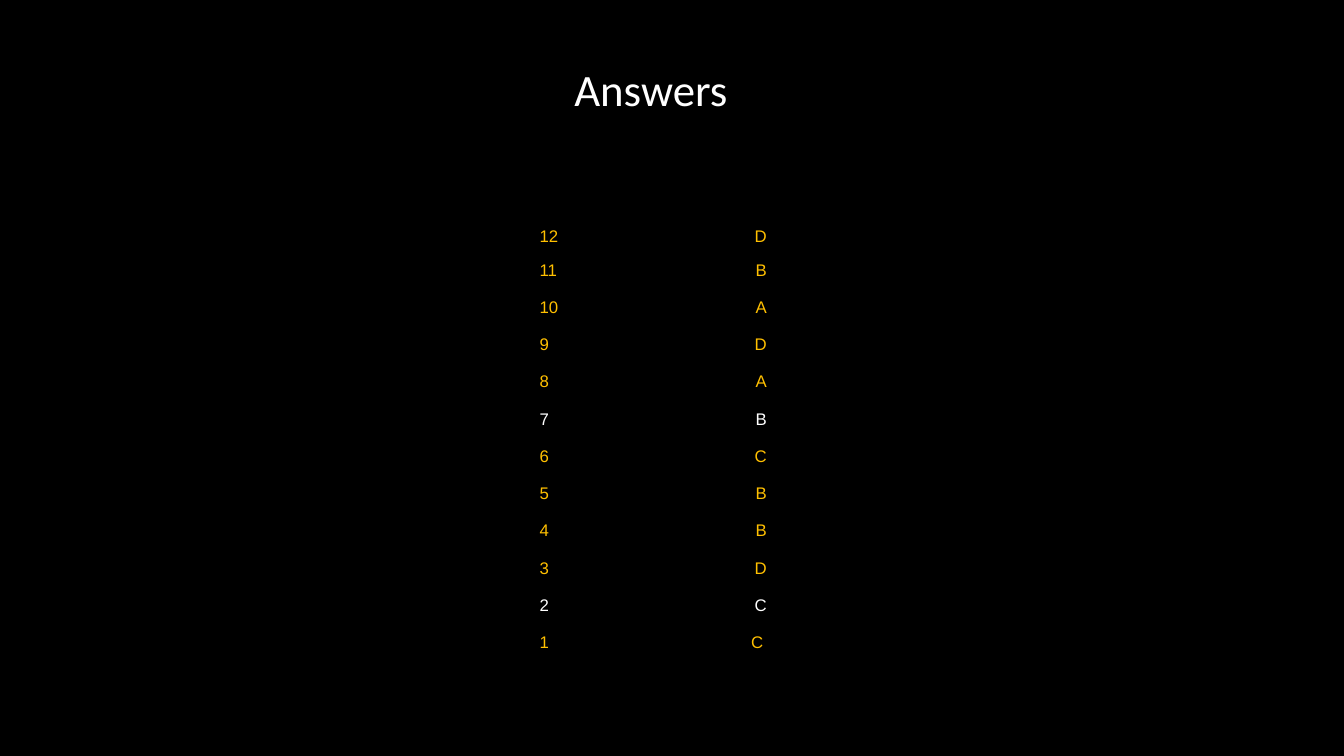
from dataclasses import dataclass
from typing import NamedTuple

from pptx import Presentation
from pptx.dml.color import RGBColor
from pptx.enum.shapes import MSO_SHAPE
from pptx.enum.text import MSO_ANCHOR, PP_ALIGN
from pptx.oxml.ns import qn
from pptx.util import Pt


@dataclass(frozen=True)
class Theme:
    """Colours, fonts and type sizes of the slide."""
    back: RGBColor = RGBColor(0x00, 0x00, 0x00)
    plain: RGBColor = RGBColor(0xFF, 0xFF, 0xFF)
    gold: RGBColor = RGBColor(0xFF, 0xC0, 0x00)
    title_font: str = "Calibri"
    table_font: str = "Arial"
    title_size: Pt = Pt(32)
    table_size: Pt = Pt(12)


class Answer(NamedTuple):
    """One question number with its answer letter."""
    number: int
    letter: str
    color: RGBColor


THEME = Theme()
LETTERS = "DBADABCBBDCC"  # from question 12 down to question 1
PLAIN_NUMBERS = {2, 7}
ANSWERS = [
    Answer(n, letter, THEME.plain if n in PLAIN_NUMBERS else THEME.gold)
    for n, letter in zip(range(len(LETTERS), 0, -1), LETTERS)
]
COLUMN_WIDTHS = (Pt(55.4), Pt(109.8))
END_ROW, INNER_ROW = Pt(24.3), Pt(26.63)
NUMBER_INDENT, LAST_INDENT = Pt(2.9), Pt(2.5)
NO_STYLE = "{2D5ABB26-0587-4C30-8999-92F81FD0307C}"


def style(p, font: str, size: Pt, color: RGBColor, align: PP_ALIGN) -> None:
    """Set the font and alignment of a paragraph."""
    p.font.name, p.font.size, p.font.color.rgb = font, size, color
    p.alignment = align


def add_backdrop(s, width: Pt, height: Pt) -> None:
    """Cover the whole slide with the background colour."""
    sp = s.shapes.add_shape(MSO_SHAPE.RECTANGLE, Pt(0), Pt(0), width, height)
    sp.shadow.inherit = False
    sp.fill.solid()
    sp.fill.fore_color.rgb = THEME.back
    sp.line.fill.background()


def add_title(s, text: str) -> None:
    """Add the centred heading."""
    tf = s.shapes.add_textbox(Pt(357), Pt(12.5), Pt(216), Pt(102)).text_frame
    tf.word_wrap = True
    tf.vertical_anchor = MSO_ANCHOR.MIDDLE
    p = tf.paragraphs[0]
    p.text = text
    style(p, THEME.title_font, THEME.title_size, THEME.plain, PP_ALIGN.CENTER)


def fill_cell(cell, text: str, color: RGBColor, align: PP_ALIGN,
              left: Pt = Pt(0), right: Pt = Pt(0)) -> None:
    """Write one table cell on the background colour."""
    cell.margin_left, cell.margin_right = left, right
    cell.margin_top = cell.margin_bottom = Pt(0)
    cell.fill.solid()
    cell.fill.fore_color.rgb = THEME.back
    p = cell.text_frame.paragraphs[0]
    p.text = text
    style(p, THEME.table_font, THEME.table_size, color, align)


def add_answers(s, answers: list[Answer]) -> None:
    """Add the table of numbers and letters."""
    last = len(answers) - 1
    height = 2 * END_ROW + (last - 1) * INNER_ROW
    table = s.shapes.add_table(len(answers), len(COLUMN_WIDTHS), Pt(382.5),
                               Pt(162), sum(COLUMN_WIDTHS), height).table
    table.first_row = table.horz_banding = False
    table._tbl.tblPr.find(qn("a:tableStyleId")).text = NO_STYLE
    for column, width in zip(table.columns, COLUMN_WIDTHS):
        column.width = width
    for i, answer in enumerate(answers):
        table.rows[i].height = END_ROW if i in (0, last) else INNER_ROW
        fill_cell(table.cell(i, 0), str(answer.number), answer.color,
                  PP_ALIGN.LEFT, left=NUMBER_INDENT)
        fill_cell(table.cell(i, 1), answer.letter, answer.color,
                  PP_ALIGN.RIGHT, right=LAST_INDENT if i == last else Pt(0))


def main() -> None:
    """Build the slide and save it."""
    prs = Presentation()
    prs.slide_width, prs.slide_height = Pt(960), Pt(540)
    s = prs.slides.add_slide(prs.slide_layouts[6])
    add_backdrop(s, prs.slide_width, prs.slide_height)
    add_answers(s, ANSWERS)
    add_title(s, "Answers")
    prs.save("out.pptx")


main()
